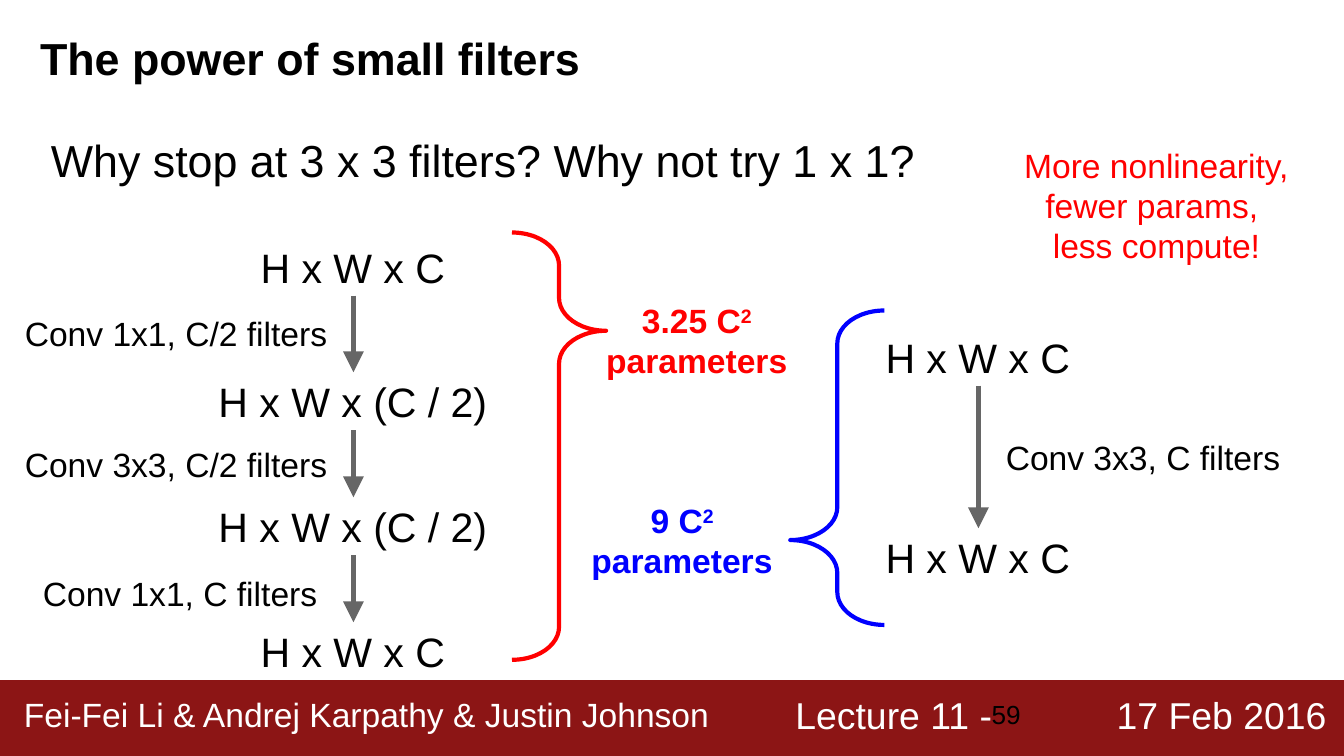
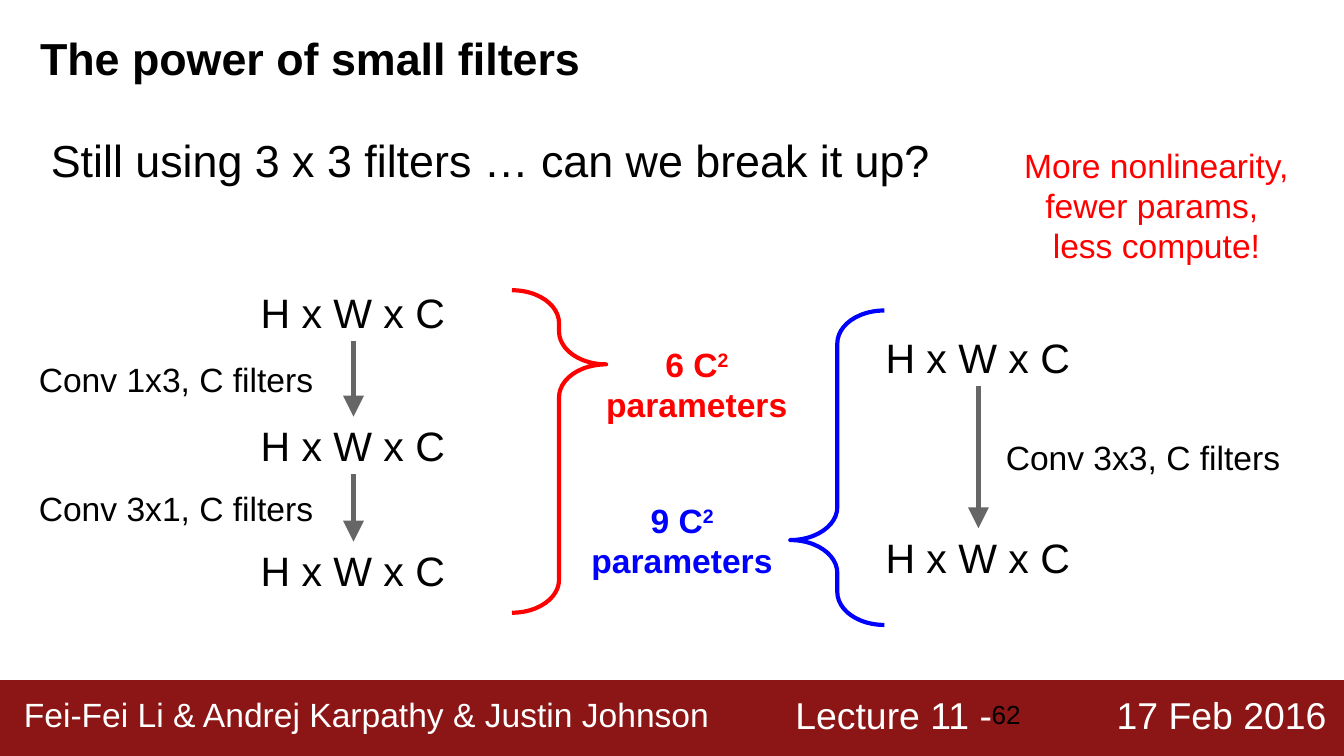
import itertools

import pptx
import pptx.dml.color
import pptx.enum.shapes
import pptx.enum.text
import pptx.util
from lxml import etree
from pptx.oxml.ns import qn

EMU_PER_PX = 9144  # 100 px to the inch
FONT = "Arial"
COLORS = {
    "band": "8C1515",
    "text": "000000",
    "light": "FFFFFF",
    "arrow": "666666",
    "split": "FF0000",
    "single": "0000FF",
}
ALIGN = pptx.enum.text.PP_ALIGN
ANCHOR = pptx.enum.text.MSO_ANCHOR
SHAPE = pptx.enum.shapes.MSO_SHAPE

SLIDE_WIDTH = 1000
STATE_WIDTH, STATE_HEIGHT = 221, 43
FULL, HALF = "H x W x C", "H x W x (C / 2)"

SLIDES = [
    {
        "number": "59",
        "question": "Why stop at 3 x 3 filters? Why not try 1 x 1?",
        "states": [(FULL, 177), (HALF, 277), (HALF, 370), (FULL, 463)],
        "filters": [
            ("Conv 1x1, C/2 filters", 7, 223),
            ("Conv 3x3, C/2 filters", 7, 320),
            ("Conv 1x1, C filters", 10, 416),
        ],
        "brace": (381, 173, 70, 318),
        "count": ("3.25 C^2", 213),
    },
    {
        "number": "62",
        "question": "Still using 3 x 3 filters … can we break it up?",
        "states": [(FULL, 211), (FULL, 310), (FULL, 403)],
        "filters": [
            ("Conv 1x3, C filters", 7, 257),
            ("Conv 3x1, C filters", 7, 353),
        ],
        "brace": (381, 216, 70, 240),
        "count": ("6 C^2", 246),
    },
]


def px(length):
    return pptx.util.Emu(length * EMU_PER_PX)


def rgb(name):
    return pptx.dml.color.RGBColor.from_string(COLORS[name])


def add_text(slide, text, bounds, size=18, color="text", bold=False,
             align=ALIGN.LEFT, anchor=ANCHOR.TOP):
    """Add a text box; what follows ^ on a line is raised."""
    box = slide.shapes.add_textbox(*map(px, bounds))
    frame = box.text_frame
    frame.word_wrap = True
    frame.vertical_anchor = anchor
    frame.margin_left = frame.margin_right = px(10)
    frame.margin_top = frame.margin_bottom = px(10)
    paragraph = frame.paragraphs[0]
    paragraph.alignment = align
    for index, line in enumerate(text.split("\n")):
        if index:
            paragraph.add_line_break()
        base, _, raised = line.partition("^")
        for words, baseline in ((base, None), (raised, "30000")):
            if not words:
                continue
            span = paragraph.add_run()
            span.text = words
            span.font.name = FONT
            span.font.size = pptx.util.Pt(size)
            span.font.bold = bold
            span.font.color.rgb = rgb(color)
            if baseline:
                span.font._element.set("baseline", baseline)


def add_arrow(slide, x, top, bottom):
    arrow = slide.shapes.add_connector(
        pptx.enum.shapes.MSO_CONNECTOR.STRAIGHT,
        px(x), px(top), px(x), px(bottom))
    arrow.line.color.rgb = rgb("arrow")
    arrow.line.width = pptx.util.Pt(2.25)
    properties = arrow.element.spPr
    etree.SubElement(properties.find(qn("a:ln")), qn("a:tailEnd"),
                     type="triangle", w="lg", len="lg")
    etree.SubElement(properties, qn("a:effectLst"))


def add_brace(slide, bounds, color, point, rotation=0):
    brace = slide.shapes.add_shape(SHAPE.RIGHT_BRACE, *map(px, bounds))
    brace.shadow.inherit = False
    brace.adjustments[0] = 0.35
    brace.adjustments[1] = point
    brace.rotation = rotation
    brace.fill.background()
    brace.line.color.rgb = rgb(color)
    brace.line.width = pptx.util.Pt(2.25)


def add_flow(slide, center, states):
    """Stack the tensor sizes around a centre line and join them by arrows."""
    for label, top in states:
        add_text(slide, label,
                 (center - STATE_WIDTH // 2 - 1, top, STATE_WIDTH, STATE_HEIGHT),
                 size=22, align=ALIGN.CENTER, anchor=ANCHOR.MIDDLE)
    for (_, top), (_, next_top) in itertools.pairwise(states):
        add_arrow(slide, center, top + STATE_HEIGHT, next_top)


def add_filter(slide, label, left, top, width):
    add_text(slide, label, (left, top, width, 43), align=ALIGN.CENTER)


def add_count(slide, count, left, top, color):
    add_text(slide, count + "\nparameters", (left, top, 167, 72),
             color=color, bold=True, align=ALIGN.CENTER)


def add_frame(slide, number):
    """Add the title and the footer band that all slides share."""
    band = slide.shapes.add_shape(
        SHAPE.RECTANGLE, px(0), px(506), px(SLIDE_WIDTH), px(58))
    band.shadow.inherit = False
    band.fill.solid()
    band.fill.fore_color.rgb = rgb("band")
    band.line.fill.background()
    add_text(slide, "Lecture 11 -", (582, 505, 383, 59), size=20, color="light")
    add_text(slide, "Fei-Fei Li & Andrej Karpathy & Justin Johnson",
             (8, 506, 574, 59), color="light")
    add_text(slide, "17 Feb 2016", (821, 505, 179, 59), size=20, color="light")
    add_text(slide, number, (728, 510, 60, 43), size=14, anchor=ANCHOR.MIDDLE)
    add_text(slide, "The power of small filters", (20, 13, 890, 67),
             size=24, bold=True)


def add_single_filter(slide):
    """Add the plain 3x3 convolution that each slide compares with."""
    add_flow(slide, 728, [(FULL, 244), (FULL, 393)])
    add_filter(slide, "Conv 3x3, C filters", 714, 315, 273)
    add_count(slide, "9 C^2", 424, 362, "single")
    add_brace(slide, (588, 231, 70, 234), "single", 0.27, rotation=180)


def add_comparison(deck, content):
    slide = deck.slides.add_slide(deck.slide_layouts[6])
    add_frame(slide, content["number"])
    add_text(slide, content["question"], (28, 89, 958, 65), size=24)
    add_flow(slide, 263, content["states"])
    for label, left, top in content["filters"]:
        add_filter(slide, label, left, top, 248)
    count, top = content["count"]
    add_count(slide, count, 435, top, "split")
    add_brace(slide, content["brace"], "split", 0.23)
    add_single_filter(slide)
    add_text(slide, "More nonlinearity,\nfewer params, \nless compute!",
             (739, 99, 243, 107), color="split",
             align=ALIGN.CENTER, anchor=ANCHOR.MIDDLE)


def main():
    deck = pptx.Presentation()
    deck.slide_width = px(SLIDE_WIDTH)
    deck.slide_height = px(SLIDE_WIDTH) * 9 // 16
    for content in SLIDES:
        add_comparison(deck, content)
    deck.save("out.pptx")


if __name__ == "__main__":
    main()
